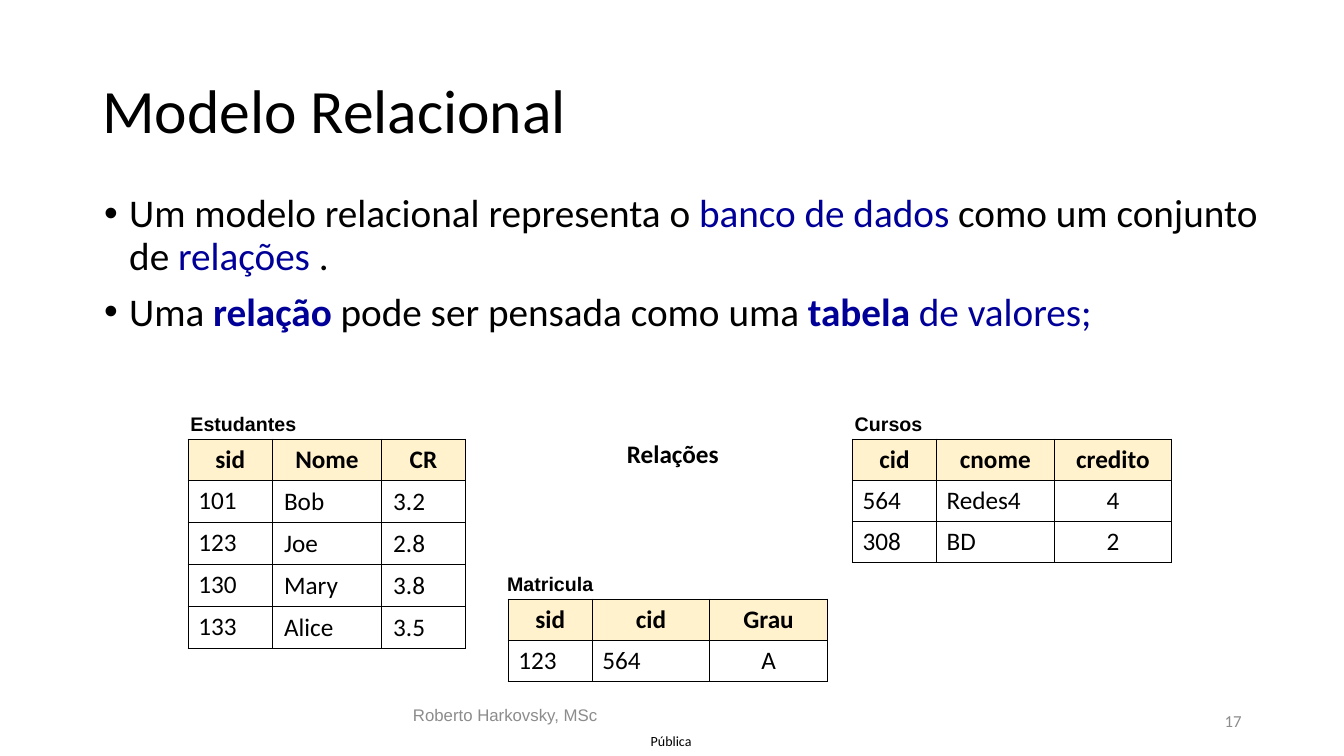
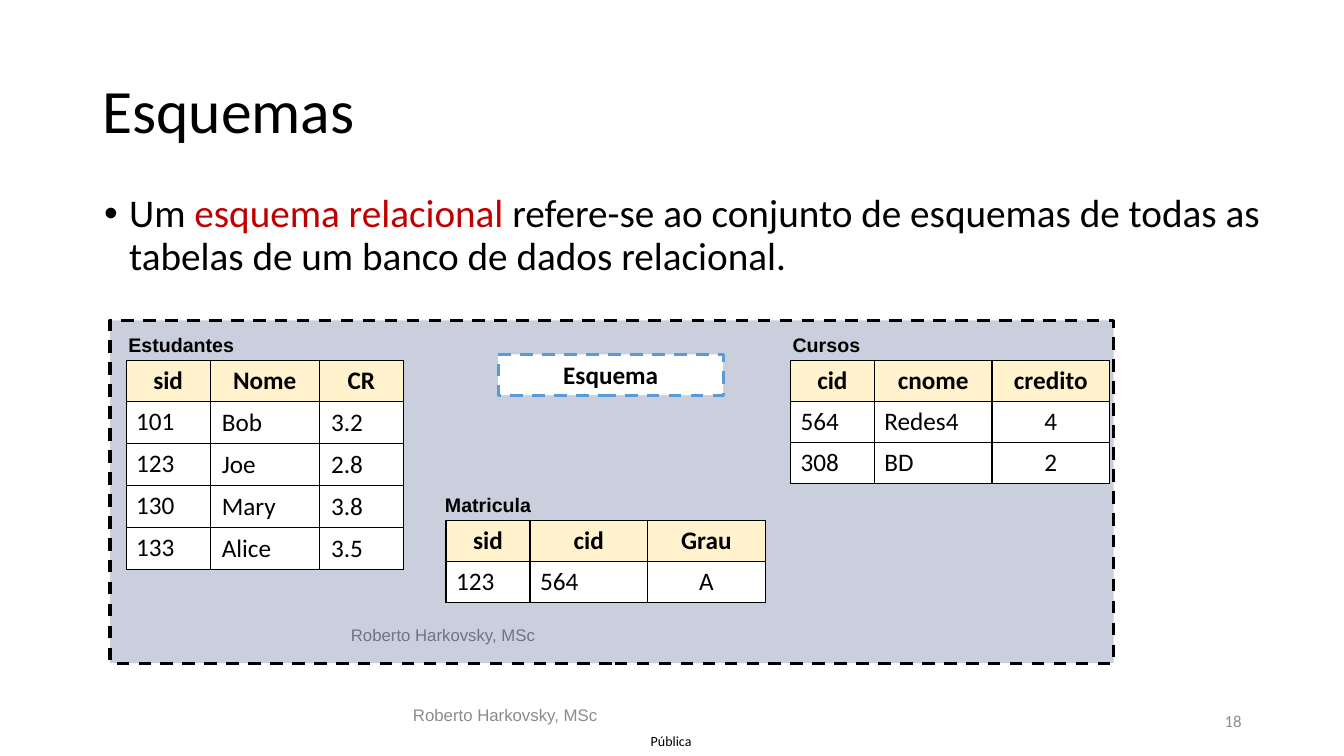
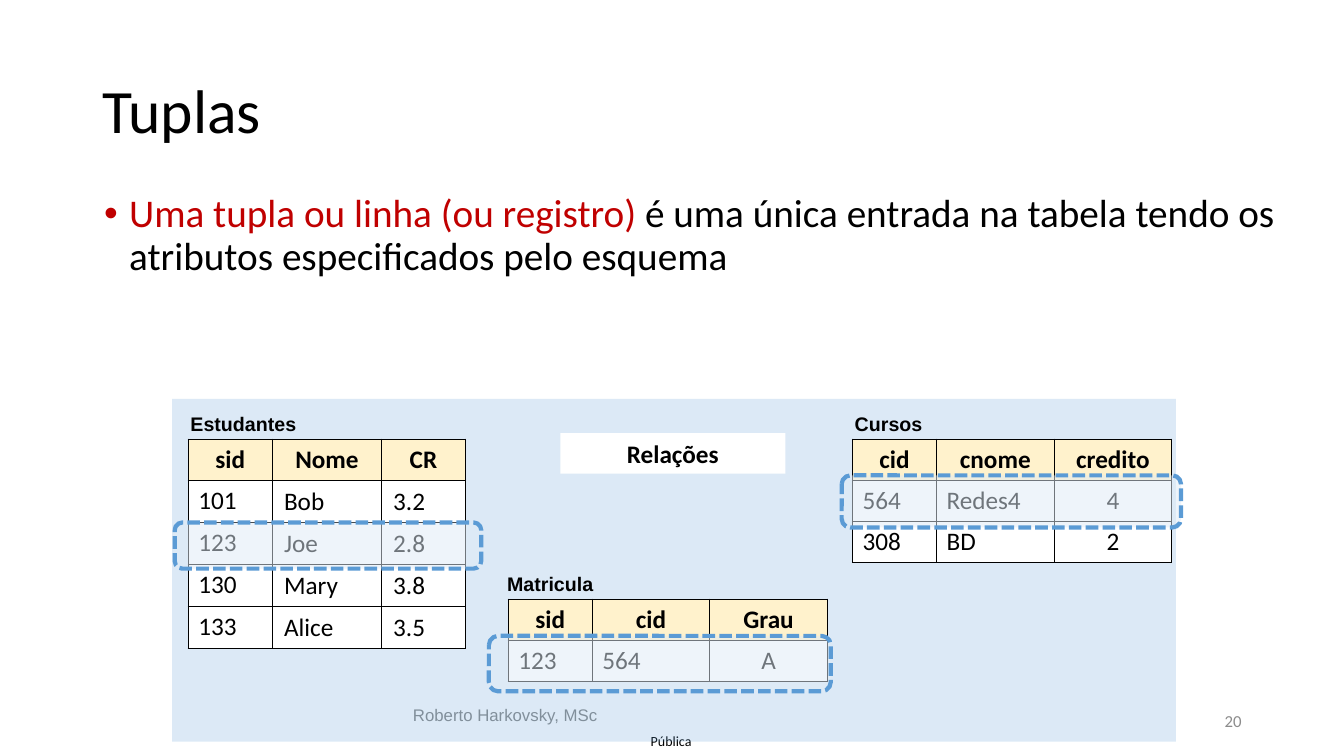
import pptx
import pptx.dml.color
import pptx.enum.dml
import pptx.enum.shapes
import pptx.enum.text
import pptx.oxml.ns
import pptx.util
import lxml.etree

qn = pptx.oxml.ns.qn
Pt = pptx.util.Pt
ALIGN = pptx.enum.text.PP_ALIGN
ANCHOR = pptx.enum.text.MSO_ANCHOR
SHAPE = pptx.enum.shapes.MSO_SHAPE
DASH = pptx.enum.dml.MSO_LINE

BLACK, WHITE, GRAY = "000000", "FFFFFF", "8C8C8C"
NAVY, RED, BLUE = "000099", "C00000", "5B9BD5"
HEADER, PALE, INDIGO = "FFF2CC", "DEEBF7", "002060"
COLUMNS, ROWS = 160, 90
TABLE_ROW = 4.88
ALIGNMENTS = {"l": ALIGN.LEFT, "c": ALIGN.CENTER}

RELATIONS = [
    dict(name="Estudantes", at=(1.92, 4.8), label_shift=4.44, widths=(10, 13, 10),
         aligns="lll", padded=(1, 2),
         rows=[("sid", "Nome", "CR"), ("101", "Bob", "3.2"), ("123", "Joe", "2.8"),
               ("130", "Mary", "3.8"), ("133", "Alice", "3.5")]),
    dict(name="Cursos", at=(81, 4.8), label_shift=6.72, widths=(10, 14, 14),
         aligns="llc", padded=(),
         rows=[("cid", "cnome", "credito"), ("564", "Redes4", "4"), ("308", "BD", "2")]),
    dict(name="Matricula", at=(40, 23.85), label_shift=6, widths=(10, 14, 14),
         aligns="llc", padded=(),
         rows=[("sid", "cid", "Grau"), ("123", "564", "A")]),
]


def color(value):
    return pptx.dml.color.RGBColor.from_string(value)


def grid(count):
    return pptx.util.Inches(count / 12)


class Lesson:
    def __init__(self):
        self.deck = pptx.Presentation()
        self.deck.slide_width = grid(COLUMNS)
        self.deck.slide_height = grid(ROWS)
        self.page = None

    def start(self, title, number, paragraphs):
        self.page = self.deck.slides.add_slide(self.deck.slide_layouts[6])
        mark = self.text((75.7, 86.5, 8.4, 3.5), "Pública", 10, align=ALIGN.CENTER,
                         anchor=ANCHOR.MIDDLE)
        frame = mark.text_frame
        frame.margin_left = frame.margin_right = frame.margin_top = frame.margin_bottom = 0
        heading = self.text((11, 4.8, 138, 17.4), title, 44, anchor=ANCHOR.MIDDLE)
        heading.text_frame.paragraphs[0].line_spacing = 0.9
        self.bullets(paragraphs)
        self.byline(29, 83.3)
        self.text((113, 83.4, 36, 4.8), number, 12, GRAY, align=ALIGN.RIGHT,
                  anchor=ANCHOR.MIDDLE)

    def style(self, para, size, tint=None, bold=False, face="Calibri", align=ALIGN.LEFT):
        para.alignment = align
        para.font.size = Pt(size)
        para.font.name = face
        para.font.bold = bold
        if tint:
            para.font.color.rgb = color(tint)

    def text(self, at, words, size, tint=BLACK, bold=False, face="Calibri",
             align=ALIGN.LEFT, anchor=ANCHOR.TOP):
        box = self.page.shapes.add_textbox(*map(grid, at))
        frame = box.text_frame
        frame.word_wrap = True
        frame.vertical_anchor = anchor
        frame.text = words
        self.style(frame.paragraphs[0], size, tint, bold, face, align)
        return box

    def byline(self, left, top):
        self.text((left, top, 62.3, 4.8), "Roberto Harkovsky, MSc", 12, GRAY, face="Arial",
                  align=ALIGN.CENTER)

    def bullets(self, paragraphs):
        box = self.page.shapes.add_textbox(*map(grid, (11.2, 22.5, 141.7, 13.7)))
        frame = box.text_frame
        frame.word_wrap = True
        for index, spans in enumerate(paragraphs):
            para = frame.add_paragraph() if index else frame.paragraphs[0]
            settings = para._p.get_or_add_pPr()
            settings.set("marL", str(grid(3)))
            settings.set("indent", str(-grid(3)))
            tint = lxml.etree.SubElement(settings, qn("a:buClr"))
            lxml.etree.SubElement(tint, qn("a:srgbClr"), val=spans[0][1])
            lxml.etree.SubElement(settings, qn("a:buFont"), typeface="Arial")
            lxml.etree.SubElement(settings, qn("a:buChar"), char="•")
            para.line_spacing = 0.9
            if index:
                para.space_before = Pt(10)
            self.style(para, 28)
            for words, shade, *weight in spans:
                span = para.add_run()
                span.text = words
                span.font.color.rgb = color(shade)
                if weight:
                    span.font.bold = True

    def shape(self, at, fill, opacity=100, line=None, width=2.25, dash=DASH.DASH,
              kind=SHAPE.RECTANGLE):
        box = self.page.shapes.add_shape(kind, *map(grid, at))
        box.shadow.inherit = False
        box.fill.solid()
        box.fill.fore_color.rgb = color(fill)
        if opacity < 100:
            shade = box.element.spPr.find(qn("a:solidFill")).find(qn("a:srgbClr"))
            lxml.etree.SubElement(shade, qn("a:alpha"), val=str(opacity * 1000))
        if line:
            box.line.color.rgb = color(line)
            box.line.width = Pt(width)
            box.line.dash_style = dash
        else:
            box.line.fill.background()
        return box

    def badge(self, left, top, words, line=None):
        box = self.shape((left, top, 26.8, 4.85), WHITE, line=line)
        frame = box.text_frame
        frame.vertical_anchor = ANCHOR.TOP
        frame.text = words
        self.style(frame.paragraphs[0], 18, BLACK, True, align=ALIGN.CENTER)

    def highlight(self, at):
        self.shape(at, PALE, 50, BLUE, 3, DASH.SQUARE_DOT, SHAPE.ROUNDED_RECTANGLE)

    def borders(self, cell):
        settings = cell._tc.get_or_add_tcPr()
        for side in ("lnL", "lnR", "lnT", "lnB"):
            line = lxml.etree.SubElement(settings, qn("a:" + side), w=str(Pt(1)))
            fill = lxml.etree.SubElement(line, qn("a:solidFill"))
            lxml.etree.SubElement(fill, qn("a:srgbClr"), val=BLACK)

    def table(self, left, top, rows, widths, aligns, padded):
        at = (left, top, sum(widths), TABLE_ROW * len(rows))
        table = self.page.shapes.add_table(len(rows), len(widths), *map(grid, at)).table
        table.first_row = table.horz_banding = False
        for column, width in zip(table.columns, widths):
            column.width = grid(width)
        for row_index, values in enumerate(rows):
            table.rows[row_index].height = grid(TABLE_ROW)
            header = row_index == 0
            for column_index, value in enumerate(values):
                cell = table.cell(row_index, column_index)
                self.borders(cell)
                cell.fill.solid()
                cell.fill.fore_color.rgb = color(HEADER if header else WHITE)
                if column_index in padded and not header:
                    cell.vertical_anchor = ANCHOR.MIDDLE
                    cell.margin_left = cell.margin_right = grid(1.4)
                    cell.margin_top = cell.margin_bottom = grid(0.7)
                cell.text = value
                align = ALIGN.CENTER if header else ALIGNMENTS[aligns[column_index]]
                self.style(cell.text_frame.paragraphs[0], 18, BLACK, header, align=align)

    def diagram(self, left, top, caption, fill=None, panel_line=None, badge_line=None):
        if fill:
            self.shape((left, top, 119.5, 40.8), fill, 21, panel_line)
        for relation in RELATIONS:
            x, y = left + relation["at"][0], top + relation["at"][1]
            self.table(x, y, relation["rows"], relation["widths"], relation["aligns"],
                       relation["padded"])
            self.text((x - relation["label_shift"], y - 3.9, 22, 4.08), relation["name"], 14,
                      bold=True, face="Arial", align=ALIGN.CENTER)
        self.badge(left + 46.2, top + 4.05, caption, badge_line)


def main():
    lesson = Lesson()

    lesson.start("Modelo Relacional", "17", [
        [("Um modelo relacional representa o ", BLACK), ("banco de dados", NAVY),
         (" como um conjunto de ", BLACK), ("relações ", NAVY), (".", BLACK)],
        [("Uma ", BLACK), ("relação", NAVY, True), (" pode ser pensada como uma ", BLACK),
         ("tabela ", NAVY, True), ("de valores;", NAVY)],
    ])
    lesson.diagram(20.5, 47.5, "Relações")

    lesson.start("Esquemas", "18", [
        [("Um ", BLACK), ("esquema relacional ", RED),
         ("refere-se ao conjunto de esquemas de todas as tabelas de um banco de dados "
          "relacional.", BLACK)],
    ])
    lesson.byline(21.6, 73.8)
    lesson.diagram(13.1, 38.15, "Esquema", INDIGO, BLACK, BLUE)

    lesson.start("Tuplas", "20", [
        [("Uma tupla ou linha (ou registro) ", RED),
         ("é uma única entrada na tabela tendo os atributos especificados pelo esquema",
          BLACK)],
    ])
    lesson.diagram(20.5, 47.5, "Relações", BLUE)
    for at in [(20.8, 62.2, 36.5, 5.5), (100.2, 56.6, 40.4, 6.2), (58.2, 75.7, 40.7, 6.6)]:
        lesson.highlight(at)

    lesson.deck.save("out.pptx")


if __name__ == "__main__":
    main()
